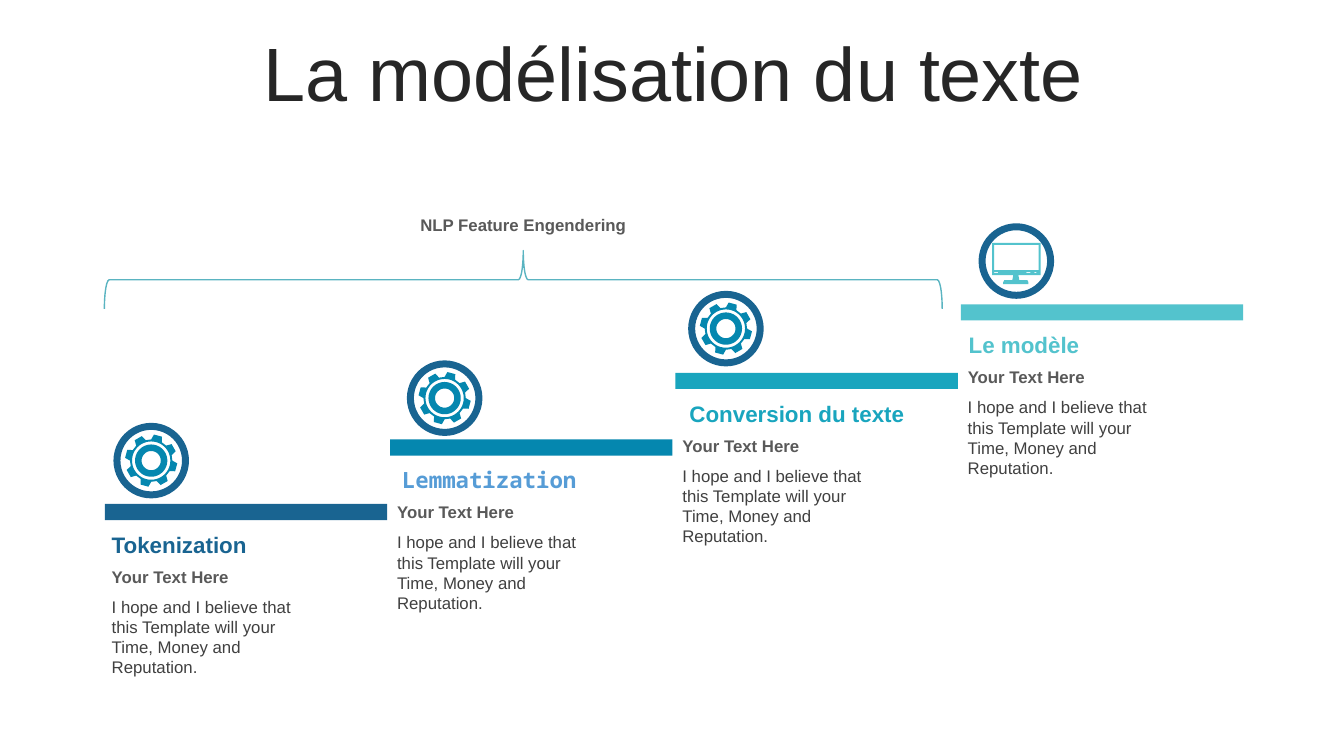
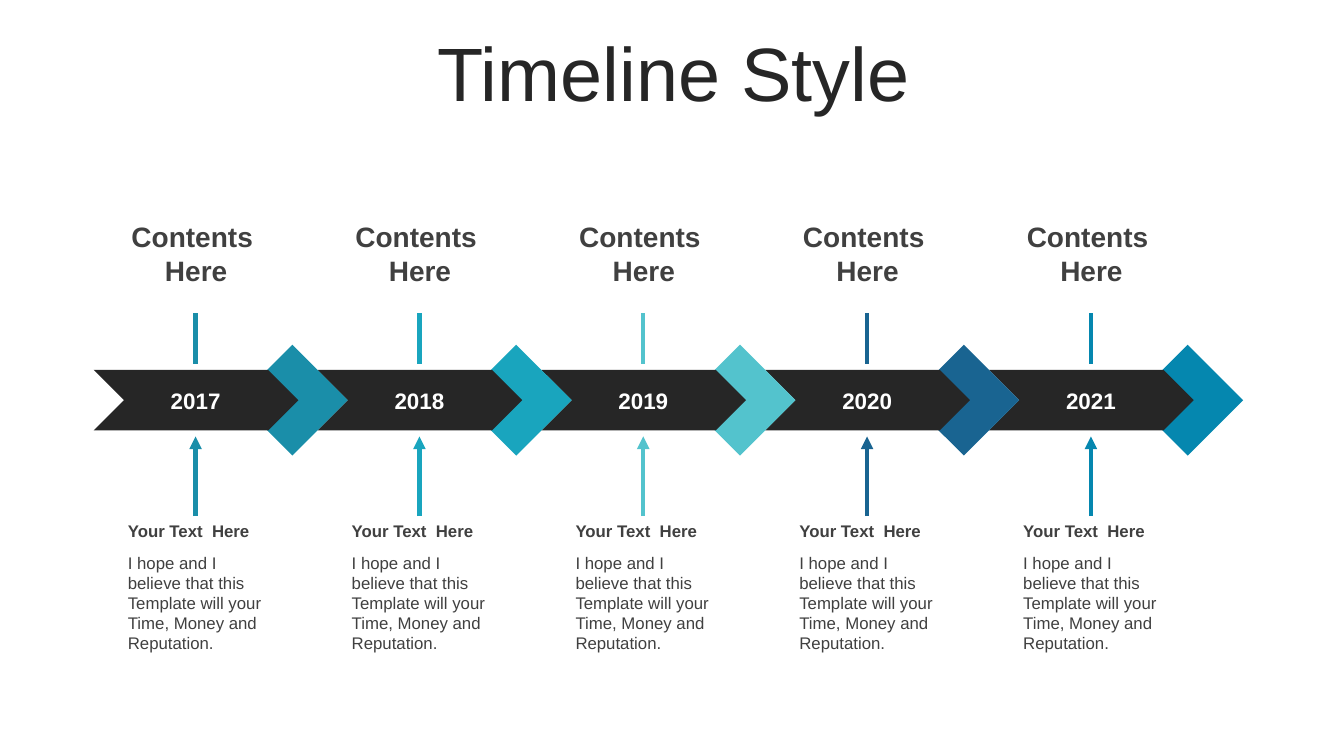
from collections import namedtuple
from math import cos, radians, sin

from lxml.etree import SubElement
from pptx import Presentation
from pptx.dml.color import RGBColor
from pptx.enum.shapes import MSO_CONNECTOR, MSO_SHAPE
from pptx.enum.text import MSO_ANCHOR, MSO_AUTO_SIZE, PP_ALIGN
from pptx.oxml.ns import qn
from pptx.util import Inches, Pt

COLORS = {
    "white": "FFFFFF",
    "black": "262626",
    "body": "404040",
    "gray": "595959",
    "navy": "196491",
    "blue": "0587AF",
    "teal": "1A8EA9",
    "cyan": "19A5BE",
    "aqua": "53C3CD",
    "sky": "569CD6",
    "brace": "5AB4C1",
}
SANS, MONO = "Arial", "Noto Sans Mono"
BODY_TEXT = "I hope and I believe that this Template will your Time, Money and Reputation."

Step = namedtuple("Step", "title color bar_color font bar_top title_left icon_left icon_top icon")
STEPS = [
    Step("Tokenization", "navy", "navy", SANS, 5.0, 1.01, 1.16, 4.23, "gear"),
    Step("Lemmatization", "sky", "blue", MONO, 4.36, 3.89, 4.07, 3.61, "gear"),
    Step("Conversion du texte", "cyan", "cyan", SANS, 3.7, 6.74, 6.86, 2.92, "gear"),
    Step("Le modèle", "aqua", "aqua", SANS, 3.02, 9.51, 9.74, 2.25, "monitor"),
]
STEP_PITCH = 2.83
YEARS = [("2017", "teal"), ("2018", "cyan"), ("2019", "aqua"), ("2020", "navy"), ("2021", "blue")]
YEAR_PITCH = 2.22


def color(name):
    return RGBColor.from_string(COLORS[name])


def circle(radius, points=48):
    angles = [radians(360 * index / points) for index in range(points)]
    return [(radius * cos(angle), radius * sin(angle)) for angle in angles]


def gear_outlines():
    """Eight teeth around a ring, a gap and a hub with a hole."""
    rim = []
    for tooth in range(8):
        for offset, radius in ((-15, 0.21), (-9, 0.26), (9, 0.26), (15, 0.21)):
            angle = radians(45 * tooth + 15 + offset)
            rim.append((radius * cos(angle), radius * sin(angle)))
    return [rim, circle(0.19), circle(0.16), circle(0.095)]


def rectangle(left, top, right, bottom):
    return [(left, top), (right, top), (right, bottom), (left, bottom)]


def monitor_outlines():
    """Case with its foot, the screen and the small controls."""
    case = [(-0.24, -0.18), (0.24, -0.18), (0.24, 0.14), (0.02, 0.14), (0.03, 0.19),
            (0.11, 0.19), (0.12, 0.21), (0.12, 0.23), (-0.13, 0.23), (-0.13, 0.21),
            (-0.12, 0.19), (-0.04, 0.19), (-0.03, 0.14), (-0.24, 0.14)]
    screen = rectangle(-0.22, -0.16, 0.22, 0.09)
    controls = [rectangle(left, 0.11, left + width, 0.12)
                for left, width in ((-0.22, 0.04), (0.1, 0.04), (0.18, 0.02))]
    return [case, screen, *controls]


class Deck:
    """Shared style and the slide being built."""

    def __init__(self):
        self.deck = Presentation()
        self.deck.slide_width, self.deck.slide_height = Inches(13.33), Inches(7.5)
        self.page = None

    def add_page(self, title):
        self.page = self.deck.slides.add_slide(self.deck.slide_layouts[5])
        box = self.page.shapes.title
        box.left, box.top, box.width, box.height = map(Inches, (0.35, 0.37, 12.66, 0.79))
        frame = box.text_frame
        frame.auto_size = MSO_AUTO_SIZE.NONE
        frame.vertical_anchor = MSO_ANCHOR.MIDDLE
        para = frame.paragraphs[0]
        para.line_spacing = 0.9
        self.add_span(para, title, 54, "black", align=PP_ALIGN.CENTER)

    def add_span(self, para, text, size, tint, bold=False, font=SANS, align=PP_ALIGN.LEFT):
        para.alignment = align
        span = para.add_run()
        span.text = text
        span.font.name, span.font.size, span.font.bold = font, Pt(size), bold
        span.font.color.rgb = color(tint)

    def text(self, left, top, width, height, lines, size, tint, **style):
        box = self.page.shapes.add_textbox(*map(Inches, (left, top, width, height)))
        frame = box.text_frame
        frame.word_wrap = True
        for index, line in enumerate(lines):
            para = frame.add_paragraph() if index else frame.paragraphs[0]
            self.add_span(para, line, size, tint, **style)

    def shape(self, kind, left, top, width, height, fill=None, line=None, weight=1):
        shape = self.page.shapes.add_shape(kind, *map(Inches, (left, top, width, height)))
        self.paint(shape, fill, line, weight)
        return shape

    def paint(self, shape, fill=None, line=None, weight=1):
        shape.shadow.inherit = False
        if fill:
            shape.fill.solid()
            shape.fill.fore_color.rgb = color(fill)
        else:
            shape.fill.background()
        if line:
            shape.line.color.rgb = color(line)
            shape.line.width = Pt(weight)
        else:
            shape.line.fill.background()

    def outline(self, center_x, center_y, contours, fill):
        builder = None
        for contour in contours:
            points = [(Inches(center_x + x), Inches(center_y + y)) for x, y in contour]
            if builder is None:
                builder = self.page.shapes.build_freeform(*points[0])
            else:
                builder.move_to(*points[0])
            builder.add_line_segments(points[1:], close=True)
        self.paint(builder.convert_to_shape(), fill)

    def line(self, x, start, end, tint, arrow=False):
        line = self.page.shapes.add_connector(
            MSO_CONNECTOR.STRAIGHT, *map(Inches, (x, start, x, end)))
        line.line.color.rgb = color(tint)
        line.line.width = Pt(3)
        properties = line._element.spPr
        if arrow:
            SubElement(properties.find(qn("a:ln")), qn("a:tailEnd"), type="triangle")
        SubElement(properties, qn("a:effectLst"))

    def icon(self, left, top, kind):
        self.shape(MSO_SHAPE.OVAL, left, top, 0.68, 0.68, "white", "navy", 5)
        contours, fill = {
            "gear": (gear_outlines(), "blue"),
            "monitor": (monitor_outlines(), "aqua"),
        }[kind]
        self.outline(left + 0.34, top + 0.34, contours, fill)


def build_steps(deck):
    deck.add_page("La modélisation du texte")
    # Rising steps: bar, texts and icon
    for index, step in enumerate(STEPS):
        left = 1.04 + index * STEP_PITCH
        text_left = left - 0.03
        deck.shape(MSO_SHAPE.RECTANGLE, left, step.bar_top, 2.8, 0.16, step.bar_color)
        deck.text(step.title_left, step.bar_top + 0.22, 2.5, 0.37, [step.title],
                  16, step.color, bold=True, font=step.font)
        deck.text(text_left, step.bar_top + 0.57, 2.08, 0.3, ["Your Text Here"],
                  12, "gray", bold=True)
        deck.text(text_left, step.bar_top + 0.87, 2.1, 0.91, [BODY_TEXT], 12, "body")
        deck.icon(step.icon_left, step.icon_top, step.icon)
    # Brace over the first three steps
    brace = deck.shape(MSO_SHAPE.RIGHT_BRACE, 4.9, -1.38, 0.58, 8.31, line="brace")
    brace.rotation = 270
    deck.text(4.07, 2.08, 2.32, 0.3, ["NLP Feature Engendering"], 12, "gray", bold=True)


def build_timeline(deck):
    deck.add_page("Timeline Style")
    # Right to left, so that each diamond covers the notch of the next chevron
    for index, (year, tint) in reversed(list(enumerate(YEARS))):
        shift = index * YEAR_PITCH
        center = 1.94 + shift
        deck.shape(MSO_SHAPE.DIAMOND, 2.35 + shift, 3.42, 1.1, 1.1, tint)
        deck.shape(MSO_SHAPE.CHEVRON, 0.93 + shift, 3.67, 2.03, 0.6, "black")
        deck.text(center - 0.36, 3.79, 0.72, 0.37, [year], 16, "white",
                  bold=True, align=PP_ALIGN.CENTER)
        # Heading above the band
        deck.text(center - 0.89, 2.13, 1.79, 0.77, ["Contents ", "Here"], 20, "body",
                  bold=True, align=PP_ALIGN.CENTER)
        deck.line(center, 3.11, 3.61, tint)
        # Details below the band
        deck.line(center, 5.12, 4.33, tint, arrow=True)
        deck.text(center - 0.77, 5.12, 1.54, 0.3, ["Your Text  Here"], 12, "body", bold=True)
        deck.text(center - 0.77, 5.43, 1.54, 1.11, [BODY_TEXT], 12, "body")


def main():
    deck = Deck()
    build_steps(deck)
    build_timeline(deck)
    deck.deck.save("out.pptx")


if __name__ == "__main__":
    main()
